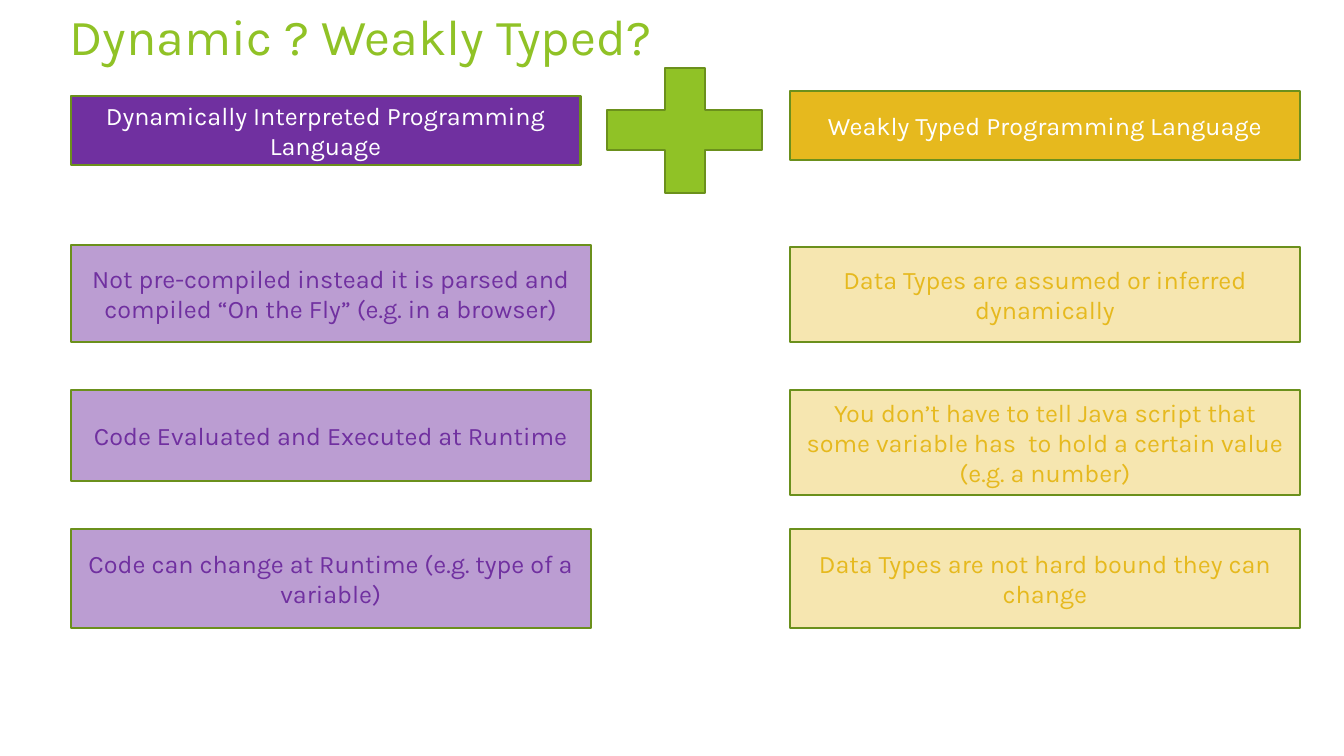
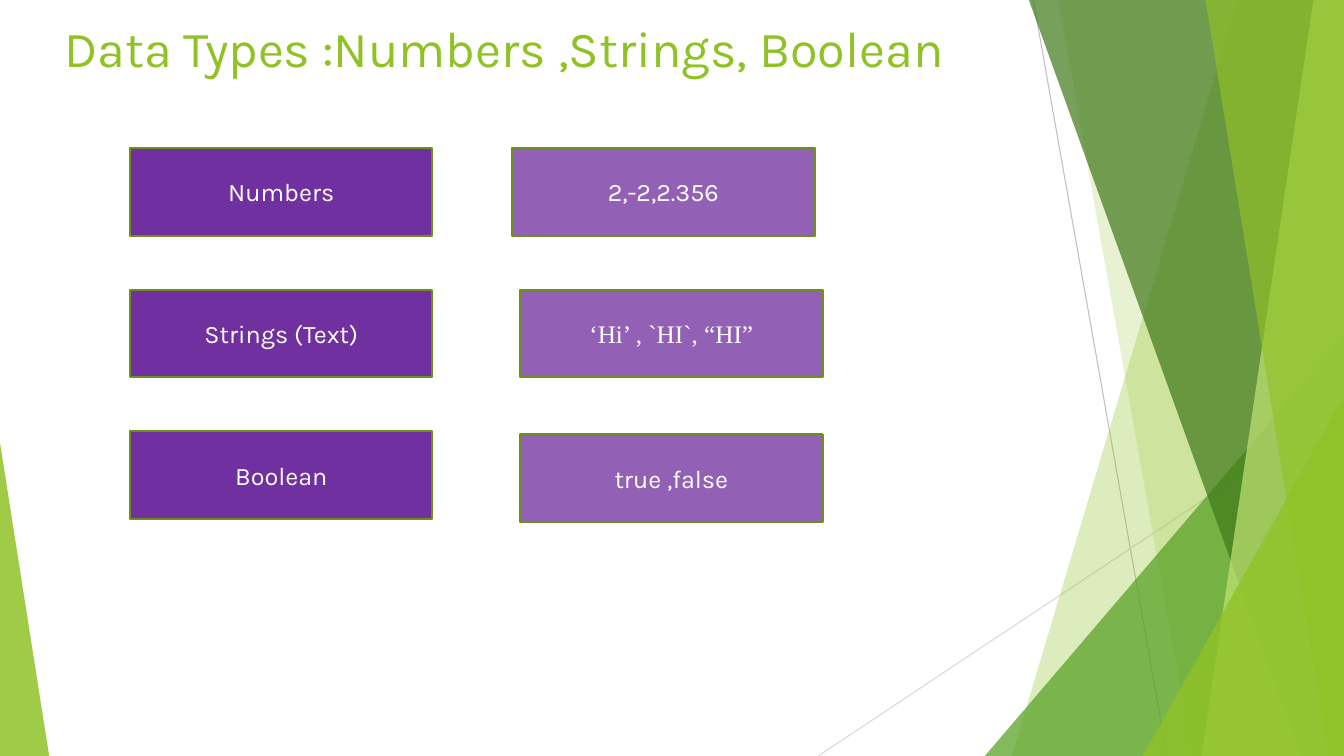
from lxml import etree
from pptx import Presentation
from pptx.dml.color import RGBColor
from pptx.enum import shapes, text
from pptx.oxml import ns
from pptx.util import Cm, Pt

SLIDE_WIDTH, SLIDE_HEIGHT = 33.87, 19.05
FONT, SERIF = "Karla", "Times New Roman"

WHITE = RGBColor(0xFF, 0xFF, 0xFF)
GREEN = RGBColor(0x90, 0xC2, 0x26)
LEAF = RGBColor(0x54, 0xA0, 0x21)
FOREST = RGBColor(0x3F, 0x78, 0x19)
LIME = RGBColor(0xC0, 0xE4, 0x74)
OUTLINE = RGBColor(0x6B, 0x90, 0x1C)
PURPLE = RGBColor(0x70, 0x30, 0xA0)
GOLD = RGBColor(0xE6, 0xB9, 0x1E)
PALE_GOLD = RGBColor(0xF0, 0xD5, 0x78)
GREY = RGBColor(0xBF, 0xBF, 0xBF)
LIGHT_GREY = RGBColor(0xD9, 0xD9, 0xD9)

RECTANGLE = shapes.MSO_SHAPE.RECTANGLE
TRIANGLE = shapes.MSO_SHAPE.ISOSCELES_TRIANGLE
PLUS = shapes.MSO_SHAPE.MATH_PLUS


def paint(shape, color, opacity=100, outlined=False):
    """Fill a shape, with opacity in percent, and set its outline."""
    shape.shadow.inherit = False
    shape.fill.solid()
    shape.fill.fore_color.rgb = color
    if opacity < 100:
        color_element = shape._element.spPr.find(".//" + ns.qn("a:srgbClr"))
        alpha = etree.SubElement(color_element, ns.qn("a:alpha"))
        alpha.set("val", str(opacity * 1000))
    if outlined:
        shape.line.color.rgb = OUTLINE
        shape.line.width = Pt(1.5)
    else:
        shape.line.fill.background()


def add_run(paragraph, words, size, color, font=FONT):
    run = paragraph.add_run()
    run.text = words
    run.font.size = Pt(size)
    run.font.name = font
    run.font.color.rgb = color


def add_title(slide, words, left, top, width, height):
    title = slide.shapes.add_textbox(Cm(left), Cm(top), Cm(width), Cm(height))
    title.text_frame.word_wrap = True
    add_run(title.text_frame.paragraphs[0], words, 36, GREEN)


def add_box(slide, words, left, top, width, height, fill, opacity=100,
            color=WHITE, font=FONT):
    box = slide.shapes.add_shape(RECTANGLE, Cm(left), Cm(top), Cm(width), Cm(height))
    paint(box, fill, opacity, outlined=True)
    frame = box.text_frame
    frame.word_wrap = True
    frame.vertical_anchor = text.MSO_ANCHOR.MIDDLE
    paragraph = frame.paragraphs[0]
    paragraph.alignment = text.PP_ALIGN.CENTER
    add_run(paragraph, words, 18, color, font)


def add_plus(slide, left, top, width, height):
    plus = slide.shapes.add_shape(PLUS, Cm(left), Cm(top), Cm(width), Cm(height))
    paint(plus, GREEN, outlined=True)


def add_hairline(slide, start_x, start_y, end_x, end_y, color):
    line = slide.shapes.add_connector(
        shapes.MSO_CONNECTOR.STRAIGHT, Cm(start_x), Cm(start_y), Cm(end_x), Cm(end_y))
    line.line.color.rgb = color
    line.line.width = Pt(0.75)
    etree.SubElement(line._element.spPr, ns.qn("a:effectLst"))


def add_band(slide, top_x, bottom_x, color, opacity):
    """Full-height band from a slanted left edge to the right slide edge."""
    builder = slide.shapes.build_freeform(Cm(top_x), Cm(0))
    builder.add_line_segments([
        (Cm(SLIDE_WIDTH), Cm(0)),
        (Cm(SLIDE_WIDTH), Cm(SLIDE_HEIGHT)),
        (Cm(bottom_x), Cm(SLIDE_HEIGHT)),
    ], close=True)
    paint(builder.convert_to_shape(), color, opacity)


def add_corner(slide, width, height, color, opacity, at_right=True):
    """Triangle standing in a bottom corner, its apex on the slide edge."""
    left = SLIDE_WIDTH - width if at_right else 0
    corner = slide.shapes.add_shape(
        TRIANGLE, Cm(left), Cm(SLIDE_HEIGHT - height), Cm(width), Cm(height))
    corner.adjustments[0] = 1 if at_right else 0
    paint(corner, color, opacity)


def add_facets(slide):
    add_hairline(slide, 26.04, 0, 29.41, SLIDE_HEIGHT, GREY)
    add_hairline(slide, SLIDE_WIDTH, 10.24, 20.62, SLIDE_HEIGHT, LIGHT_GREY)
    add_band(slide, 31.19, 25.5, GREEN, 30)
    add_band(slide, 26.67, 30.05, GREEN, 20)
    add_corner(slide, 9.05, 10.59, LEAF, 72)
    add_band(slide, 25.93, 32.79, FOREST, 70)
    add_band(slide, 33.1, 30.28, LIME, 70)
    add_band(slide, 30.38, 33.48, GREEN, 65)
    add_corner(slide, 5.07, 9.07, GREEN, 80)
    add_corner(slide, 1.24, 7.9, GREEN, 85, at_right=False)


def add_column(slide, left, top, heading, points, color, fill, opacity, width):
    """Heading box with point boxes below; points are (text, offset, height)."""
    add_box(slide, heading, left, top, 12.85, 1.75, color)
    for words, offset, height in points:
        add_box(slide, words, left, top + offset, width, height, fill, opacity, color)


def build_typing_slide(slide):
    add_title(slide, "Dynamic ? Weakly Typed?", 1.5, 0, 31.3, 1.85)
    add_column(slide, 1.78, 2.41, "Dynamically Interpreted Programming Language", [
        ("Not pre-compiled instead it is parsed and compiled “On the Fly” "
         "(e.g. in a browser)", 3.76, 2.44),
        ("Code Evaluated and Executed at Runtime", 7.42, 2.29),
        ("Code can change at Runtime (e.g. type of a variable)", 10.93, 2.49),
    ], PURPLE, PURPLE, 47, 13.11)
    add_column(slide, 19.91, 2.29, "Weakly Typed Programming Language", [
        ("Data Types are assumed or inferred dynamically", 3.93, 2.39),
        ("You don’t have to tell Java script that some variable has  to hold "
         "a certain value (e.g. a number)", 7.54, 2.64),
        ("Data Types are not hard bound they can change", 11.05, 2.49),
    ], GOLD, PALE_GOLD, 58, 12.85)
    add_plus(slide, 14.6, 1.14, 5.31, 4.29)


def add_type_rows(slide, left, top):
    width, height, pitch = 7.62, 2.21, 3.57
    rows = [
        ("Numbers", "2,-2,2.356", FONT, 9.63, 0),
        ("Strings (Text)", "‘Hi’ , `HI`, “HI”", SERIF, 9.83, 0),
        ("Boolean", "true ,false", FONT, 9.83, 0.08),
    ]
    for index, (name, examples, font, shift, drop) in enumerate(rows):
        row_top = top + index * pitch
        add_box(slide, name, left, row_top, width, height, PURPLE)
        add_box(slide, examples, left + shift, row_top + drop, width, height,
                PURPLE, 76, font=font)


def build_data_types_slide(slide):
    add_facets(slide)
    add_title(slide, "Data Types :Numbers ,Strings, Boolean", 1.37, 0.3, 23.88, 1.9)
    add_type_rows(slide, 3.28, 3.73)


def main():
    presentation = Presentation()
    presentation.slide_width = Cm(SLIDE_WIDTH)
    presentation.slide_height = Cm(SLIDE_HEIGHT)
    blank = presentation.slide_layouts[6]
    for build in (build_typing_slide, build_data_types_slide):
        build(presentation.slides.add_slide(blank))
    presentation.save("out.pptx")


if __name__ == "__main__":
    main()
